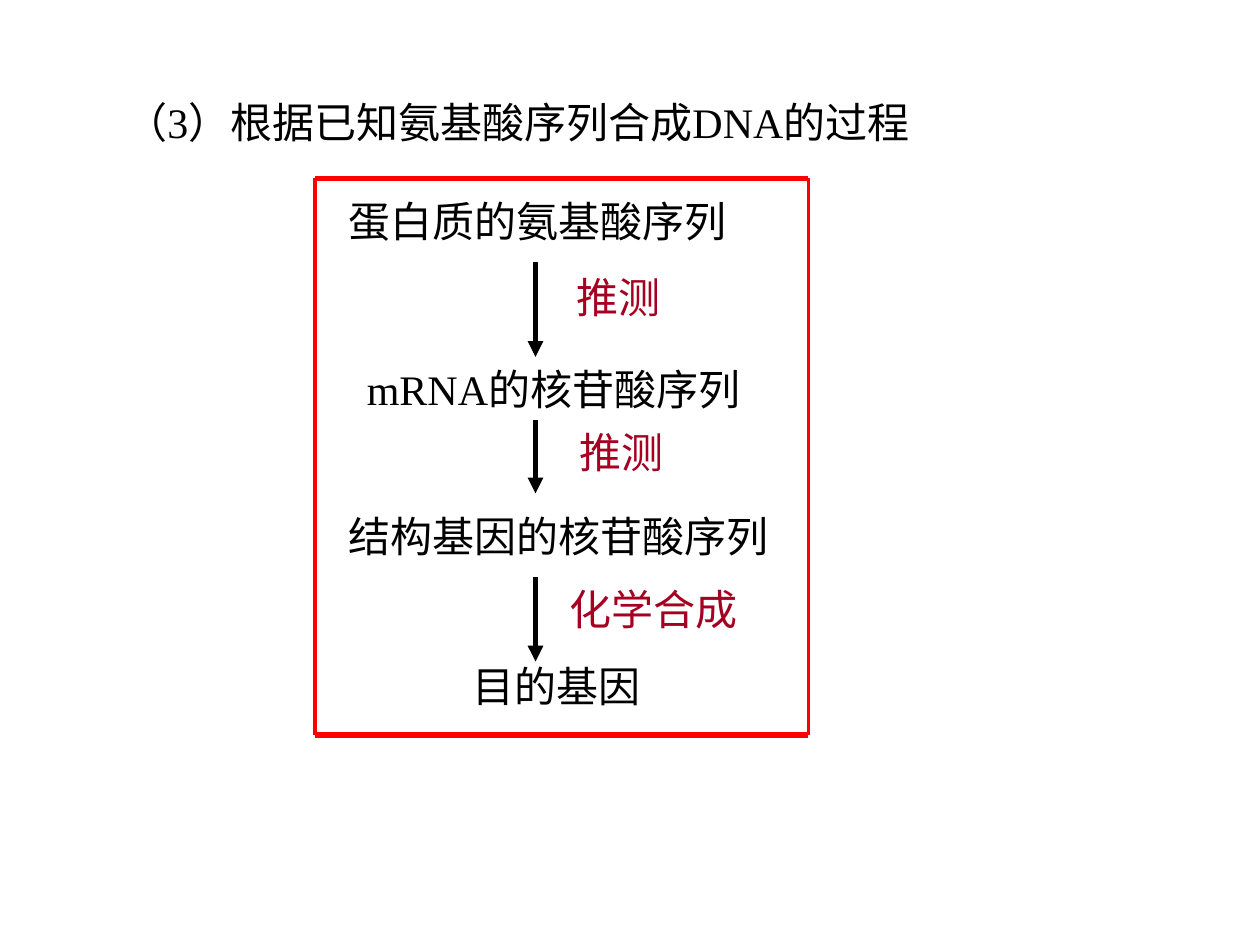
"""Build a slide on synthesising DNA from a known amino acid sequence."""
from dataclasses import dataclass

from lxml import etree
from pptx import Presentation
from pptx.dml.color import RGBColor
from pptx.enum.shapes import MSO_CONNECTOR
from pptx.enum.text import MSO_ANCHOR, MSO_AUTO_SIZE, PP_ALIGN
from pptx.oxml.ns import qn
from pptx.util import Pt

STRAIGHT = MSO_CONNECTOR.STRAIGHT
TOP = MSO_ANCHOR.TOP
LEFT = PP_ALIGN.LEFT
FIT_SHAPE = MSO_AUTO_SIZE.SHAPE_TO_FIT_TEXT
TITLE_ONLY = 5


@dataclass(frozen=True)
class Theme:
    """Colours and type of the slide."""
    font: str = "Times New Roman"
    size: int = 24
    text_height: int = 36
    ink: RGBColor = RGBColor(0x00, 0x00, 0x00)
    action: RGBColor = RGBColor(0xA5, 0x00, 0x21)
    frame: RGBColor = RGBColor(0xFF, 0x00, 0x00)
    heavy: float = 3
    medium: float = 2.25


THEME = Theme()
ARROW_X = 306
FRAME = (180, 102, 462, 420)
STAGES = [
    ("蛋白质的氨基酸序列", 192, 108, 231),
    ("mRNA的核苷酸序列", 202.5, 204, 234),
    ("结构基因的核苷酸序列", 192, 288, 255),
    ("目的基因", 263, 373.7, 111),
]
ACTIONS = [
    ("推测", 322.6, 151.5, 64),
    ("推测", 324, 240, 64),
    ("化学合成", 318.2, 330, 111),
]
ARROW_SPANS = [(150, 204), (240, 282), (330, 378)]


def write(box, text, color, wrap):
    """Fill a text holder with one left-aligned line in the theme type."""
    frame = box.text_frame
    frame.text = text
    frame.word_wrap = wrap
    frame.auto_size = FIT_SHAPE
    frame.vertical_anchor = TOP
    paragraph = frame.paragraphs[0]
    paragraph.alignment = LEFT
    font = paragraph.runs[0].font
    font.name = THEME.font
    font.size = Pt(THEME.size)
    font.color.rgb = color


def place_title(slide, text):
    """Move and format the title placeholder."""
    title = slide.shapes.title
    title.left, title.top = Pt(64.5), Pt(51.3)
    title.width, title.height = Pt(493.2), Pt(THEME.text_height)
    write(title, text, THEME.ink, True)


def add_label(shapes, text, left, top, width, color):
    """Add a single-line label."""
    label = shapes.add_textbox(Pt(left), Pt(top), Pt(width), Pt(THEME.text_height))
    write(label, text, color, False)


def add_line(shapes, start, end, color, weight):
    """Add a straight line without shadow and return it."""
    line = shapes.add_connector(STRAIGHT, *(Pt(value) for value in (*start, *end)))
    line.line.color.rgb = color
    line.line.width = Pt(weight)
    etree.SubElement(line._element.spPr, qn("a:effectLst"))
    return line


def add_arrow(shapes, top, bottom):
    """Add a downward arrow between two stages."""
    arrow = add_line(shapes, (ARROW_X, top), (ARROW_X, bottom), THEME.ink, THEME.heavy)
    etree.SubElement(arrow.line._get_or_add_ln(), qn("a:tailEnd"), type="triangle")


def add_frame(shapes):
    """Outline the process with lighter sides and heavier top and bottom."""
    left, top, right, bottom = FRAME
    for x in (left, right):
        add_line(shapes, (x, top), (x, bottom), THEME.frame, THEME.medium)
    for y in (bottom, top):
        add_line(shapes, (left, y), (right, y), THEME.frame, THEME.heavy)


def main():
    """Build and save the slide."""
    presentation = Presentation()
    presentation.slide_width, presentation.slide_height = Pt(720), Pt(540)
    slide = presentation.slides.add_slide(presentation.slide_layouts[TITLE_ONLY])
    place_title(slide, "（3）根据已知氨基酸序列合成DNA的过程")
    process = slide.shapes.add_group_shape().shapes
    for span in ARROW_SPANS:
        add_arrow(process, *span)
    for labels, color in ((STAGES, THEME.ink), (ACTIONS, THEME.action)):
        for label in labels:
            add_label(process, *label, color)
    add_frame(process)
    presentation.save("out.pptx")


if __name__ == "__main__":
    main()
